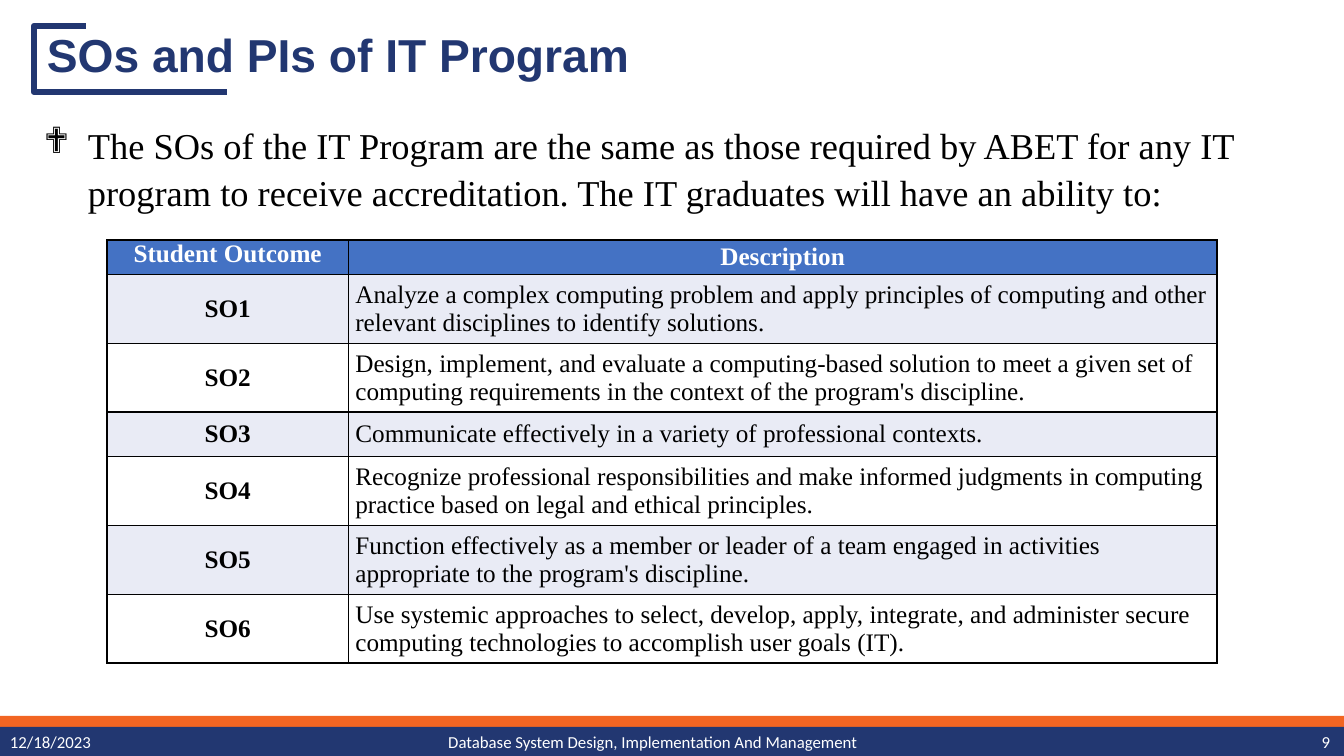
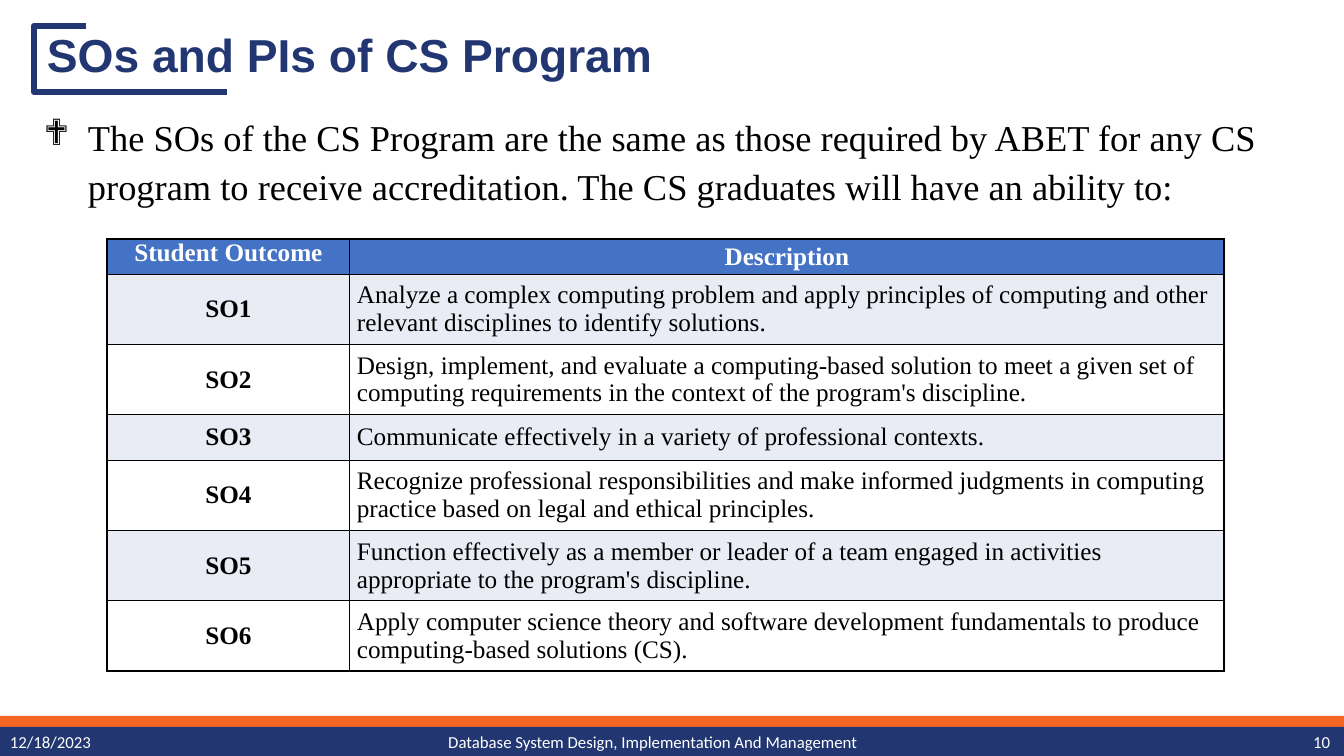
from lxml import etree
from pptx import Presentation
from pptx.dml.color import RGBColor
from pptx.enum import shapes, text
from pptx.oxml.ns import qn
from pptx.util import Pt

WIDE, HIGH = 1344, 756
SCALE = 12192000 / WIDE
NAVY, ORANGE, BLUE, PALE = "223771", "F26522", "4472C4", "E9EBF5"
WHITE, BLACK = "FFFFFF", "000000"
SERIF = "Times New Roman"
LEFT, MID, RIGHT = text.PP_ALIGN.LEFT, text.PP_ALIGN.CENTER, text.PP_ALIGN.RIGHT
TOP, MIDDLE = text.MSO_ANCHOR.TOP, text.MSO_ANCHOR.MIDDLE
ROWS = (100, 200, 200, 130, 200, 200, 200)  # relative row heights
KEY = 0.2175  # share of the table width taken by the first column

SHARED = [
    "Analyze a complex computing problem and apply principles of computing and other relevant disciplines to identify solutions.",
    "Design, implement, and evaluate a computing-based solution to meet a given set of computing requirements in the context of the program's discipline.",
    "Communicate effectively in a variety of professional contexts.",
    "Recognize professional responsibilities and make informed judgments in computing practice based on legal and ethical principles.",
    "Function effectively as a member or leader of a team engaged in activities appropriate to the program's discipline.",
]
IT_LAST = "Use systemic approaches to select, develop, apply, integrate, and administer secure computing technologies to accomplish user goals (IT)."
CS_LAST = "Apply computer science theory and software development fundamentals to produce computing-based solutions (CS)."


def px(n):
    return round(n * SCALE)


def rgb(code):
    return RGBColor.from_string(code)


def style(para, size, face, color, bold=False, align=LEFT):
    para.alignment = align
    font = para.font
    font.size, font.name, font.bold = Pt(size), face, bold
    font.color.rgb = rgb(color)


def label(slide, box, words, anchor=MIDDLE):
    """Add a wrapped text box and return its paragraph."""
    frame = slide.shapes.add_textbox(*map(px, box)).text_frame
    frame.word_wrap = True
    frame.vertical_anchor = anchor
    para = frame.paragraphs[0]
    para.text = words
    return para


def band(slide, box, color):
    bar = slide.shapes.add_shape(shapes.MSO_SHAPE.RECTANGLE, *map(px, box))
    bar.shadow.inherit = False
    bar.fill.solid()
    bar.fill.fore_color.rgb = rgb(color)
    bar.line.fill.background()


def footer(slide, top, number):
    band(slide, (0, top, WIDE, 12), ORANGE)
    band(slide, (0, top + 11, WIDE, HIGH - top - 11), NAVY)
    parts = (
        (0, 302, "12/18/2023", LEFT),
        (426, 454, "Database System Design, Implementation And Management", MID),
        (1038, 302, str(number), RIGHT),
    )
    for left, wide, words, align in parts:
        para = label(slide, (left, top + 12, wide, 28), words)
        style(para, 12, "Calibri", WHITE, align=align)


def title(slide, left, top, words):
    """Draw the open bracket and the heading inside it."""
    path = slide.shapes.build_freeform(px(left + 52), px(top))
    corners = ((left, top), (left, top + 66), (left + 193, top + 66))
    path.add_line_segments([(px(x), px(y)) for x, y in corners], close=False)
    mark = path.convert_to_shape()
    mark.shadow.inherit = False
    mark.fill.background()
    mark.line.color.rgb = rgb(NAVY)
    mark.line.width = Pt(4.5)
    para = label(slide, (left + 3, top + 1, 889, 61), words)
    para.line_spacing = 0.9
    style(para, 33, "Arial", NAVY, bold=True)


def bullet(slide, box, words, lead):
    para = label(slide, box, words, TOP)
    para.line_spacing = lead
    props = para._p.get_or_add_pPr()
    props.set("marL", str(px(44)))
    props.set("indent", str(px(-44)))
    etree.SubElement(props, qn("a:buFont"), typeface="Wingdings")
    etree.SubElement(props, qn("a:buChar"), char="❖")
    style(para, 26, SERIF, BLACK)


def border(cell):
    props = cell._tc.get_or_add_tcPr()
    for spot, side in enumerate(("lnL", "lnR", "lnT", "lnB")):
        line = etree.Element(qn("a:" + side), w=str(Pt(1)))
        fill = etree.SubElement(line, qn("a:solidFill"))
        etree.SubElement(fill, qn("a:srgbClr"), val=BLACK)
        props.insert(spot, line)


def outcomes(slide, box, last):
    """Fill a two-column table of student outcomes."""
    wide, high = box[2:]
    rows = [("Student Outcome", "Description")]
    rows += [(f"SO{n}", line) for n, line in enumerate(SHARED + [last], 1)]
    table = slide.shapes.add_table(len(rows), 2, *map(px, box)).table
    for col, share in zip(table.columns, (KEY, 1 - KEY)):
        col.width = px(wide * share)
    for r, row in enumerate(rows):
        table.rows[r].height = px(high * ROWS[r] / sum(ROWS))
        head = r == 0
        back = BLUE if head else (PALE if r % 2 else WHITE)
        for c, words in enumerate(row):
            cell = table.cell(r, c)
            cell.margin_left = cell.margin_right = px(7)
            cell.margin_top = cell.margin_bottom = 0
            cell.vertical_anchor = TOP if head and c == 0 else MIDDLE
            cell.fill.solid()
            cell.fill.fore_color.rgb = rgb(back)
            border(cell)
            para = cell.text_frame.paragraphs[0]
            para.text = words
            strong = head or c == 0
            style(para, 18, SERIF, WHITE if head else BLACK, strong,
                  MID if strong else LEFT)


def page(deck, number, name, body, lead, grid, last):
    slide = deck.slides.add_slide(deck.slide_layouts[6])
    footer(slide, 716, number)
    title(slide, 34, 26, f"SOs and PIs of {name} Program")
    bullet(slide, body,
           f"The SOs of the {name} Program are the same as those required by "
           f"ABET for any {name} program to receive accreditation. "
           f"The {name} graduates will have an ability to:", lead)
    outcomes(slide, grid, last)


def main():
    deck = Presentation()
    deck.slide_width, deck.slide_height = px(WIDE), px(HIGH)
    page(deck, 9, "IT", (34, 115, 1273, 110), 1.07, (107, 240, 1110, 423), IT_LAST)
    page(deck, 10, "CS", (34, 105, 1306, 110), 1.12, (107, 239, 1117, 432), CS_LAST)
    deck.save("out.pptx")


if __name__ == "__main__":
    main()
